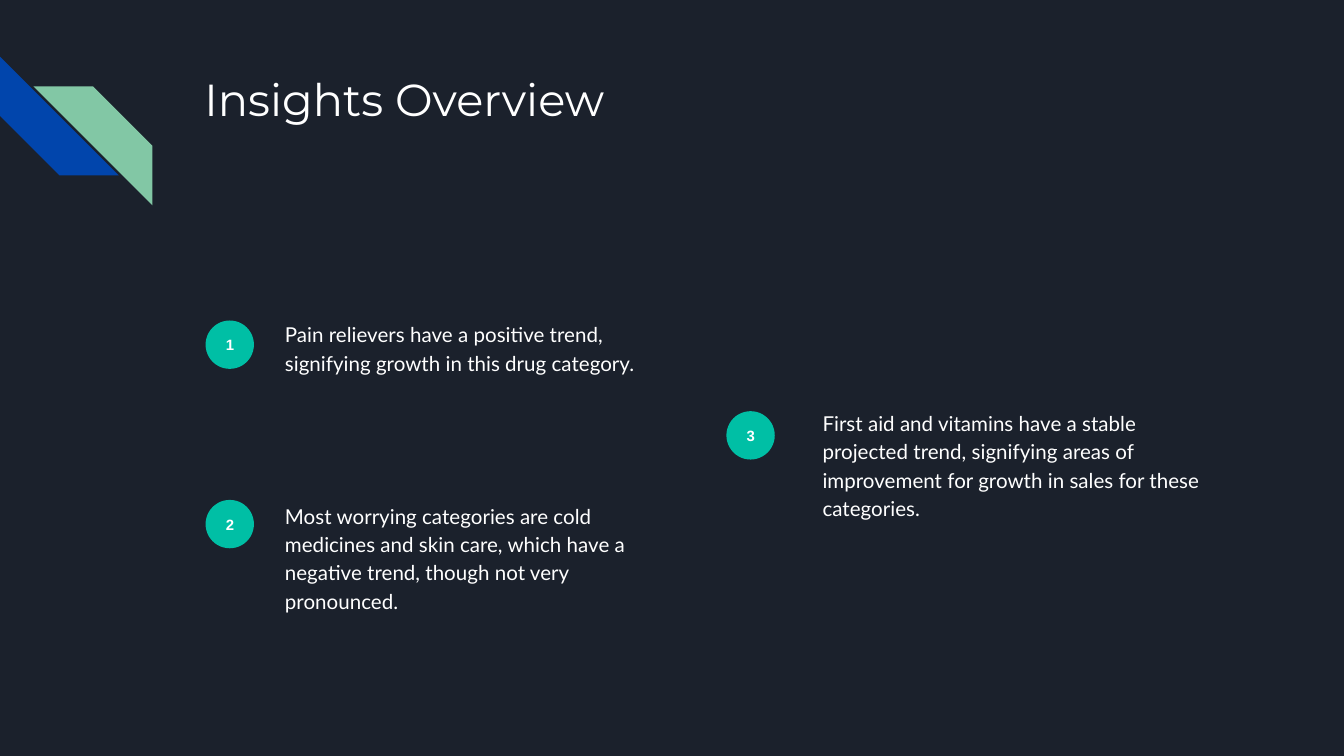
"""Build the Insights Overview slide with three numbered findings."""
import pptx
import pptx.dml.color
import pptx.enum.shapes
import pptx.enum.text
import pptx.oxml.ns
import pptx.util
from lxml import etree

NAVY = pptx.dml.color.RGBColor(0x1B, 0x21, 0x2C)
BLUE = pptx.dml.color.RGBColor(0x01, 0x45, 0xAC)
GREEN = pptx.dml.color.RGBColor(0x82, 0xC7, 0xA5)
TEAL = pptx.dml.color.RGBColor(0x00, 0xBF, 0xA5)
WHITE = pptx.dml.color.RGBColor(0xFF, 0xFF, 0xFF)
SHAPE = pptx.enum.shapes.MSO_SHAPE
ANCHOR = pptx.enum.text.MSO_ANCHOR
ALIGN = pptx.enum.text.PP_ALIGN

deck = pptx.Presentation()
deck.slide_width = pptx.util.Inches(10)
deck.slide_height = deck.slide_width * 9 // 16
column = deck.slide_width / 100
slide = deck.slides.add_slide(deck.slide_layouts.get_by_name("Comparison"))
slide.background.fill.solid()
slide.background.fill.fore_color.rgb = NAVY


def add_plain_shape(kind, left, top, size, color):
    shape = slide.shapes.add_shape(
        kind, *(round(column * n) for n in (left, top, size, size)))
    shape.shadow.inherit = False
    shape.fill.solid()
    shape.fill.fore_color.rgb = color
    shape.line.fill.background()
    return shape


def write(holder, words, font, size, bold=False, align=ALIGN.LEFT,
          anchor=ANCHOR.TOP, spacing=1.0, after=0):
    frame = holder.text_frame
    frame.word_wrap = True
    frame.auto_size = pptx.enum.text.MSO_AUTO_SIZE.NONE
    frame.vertical_anchor = anchor
    frame.margin_left = frame.margin_right = round(column)
    frame.margin_top = frame.margin_bottom = round(column)
    paragraph = frame.paragraphs[0]
    properties = paragraph._p.get_or_add_pPr()
    properties.set("marL", "0")
    properties.set("indent", "0")
    etree.SubElement(properties, pptx.oxml.ns.qn("a:buNone"))
    paragraph.alignment = align
    paragraph.line_spacing = spacing
    paragraph.space_before = pptx.util.Pt(0)
    paragraph.space_after = pptx.util.Pt(after)
    run = paragraph.add_run()
    run.text = words
    run.font.name = font
    run.font.size = pptx.util.Pt(size)
    run.font.bold = bold
    run.font.color.rgb = WHITE


blue_stripe = add_plain_shape(SHAPE.DIAGONAL_STRIPE, 0, 4.2, 8.85, BLUE)
blue_stripe.rotation = 270
green_stripe = add_plain_shape(SHAPE.DIAGONAL_STRIPE, 2.5, 6.43, 8.85, GREEN)
green_stripe._element.spPr.xfrm.set("flipH", "1")

heading, *findings, spare = slide.placeholders
heading.left, heading.top, heading.width, heading.height = (
    round(column * n) for n in (14.2, 4.35, 77, 10))
write(heading, "Insights Overview", "Montserrat", 24)

insights = [
    (15.3, 23.85, 20.2, 22.7,
     "Pain relievers have a positive trend, signifying growth in this drug category."),
    (15.3, 37.2, 20.2, 36.2,
     "Most worrying categories are cold medicines and skin care, which have a "
     "negative trend, though not very pronounced."),
    (54.05, 30.6, 60.2, 29.3,
     "First aid and vitamins have a stable projected trend, signifying areas of "
     "improvement for growth in sales for these categories."),
]
for number, (finding, insight) in enumerate(zip(findings, insights), start=1):
    badge_left, badge_top, left, top, words = insight
    badge = add_plain_shape(SHAPE.OVAL, badge_left, badge_top, 3.6, TEAL)
    write(badge, str(number), "Arial", 8, bold=True, align=ALIGN.CENTER,
          anchor=ANCHOR.MIDDLE)
    finding.left, finding.top, finding.width, finding.height = (
        round(column * n) for n in (left, top, 31, 11.5))
    write(finding, words, "Lato", 11, spacing=1.15, after=12)

spare._element.getparent().remove(spare._element)
deck.save("out.pptx")
